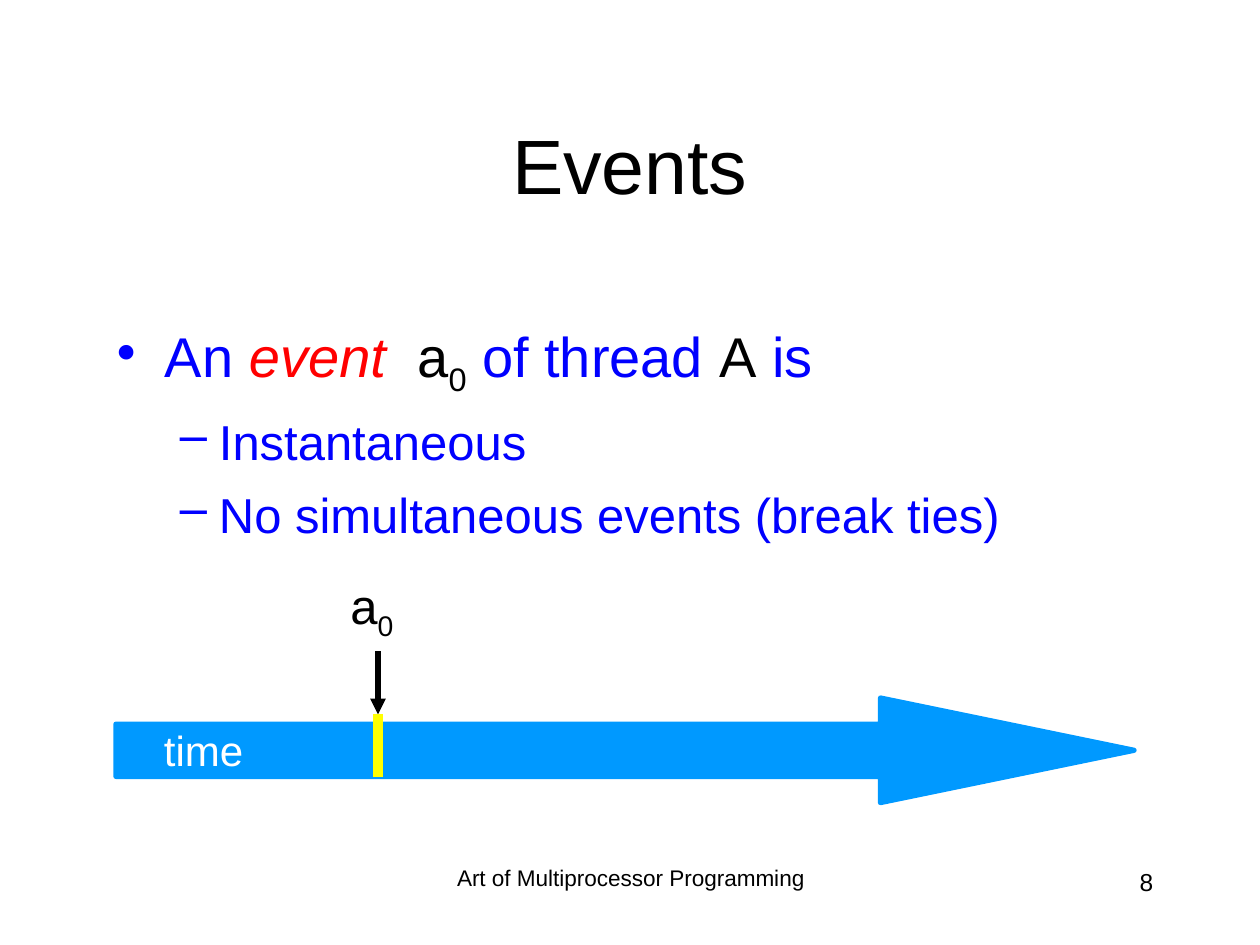
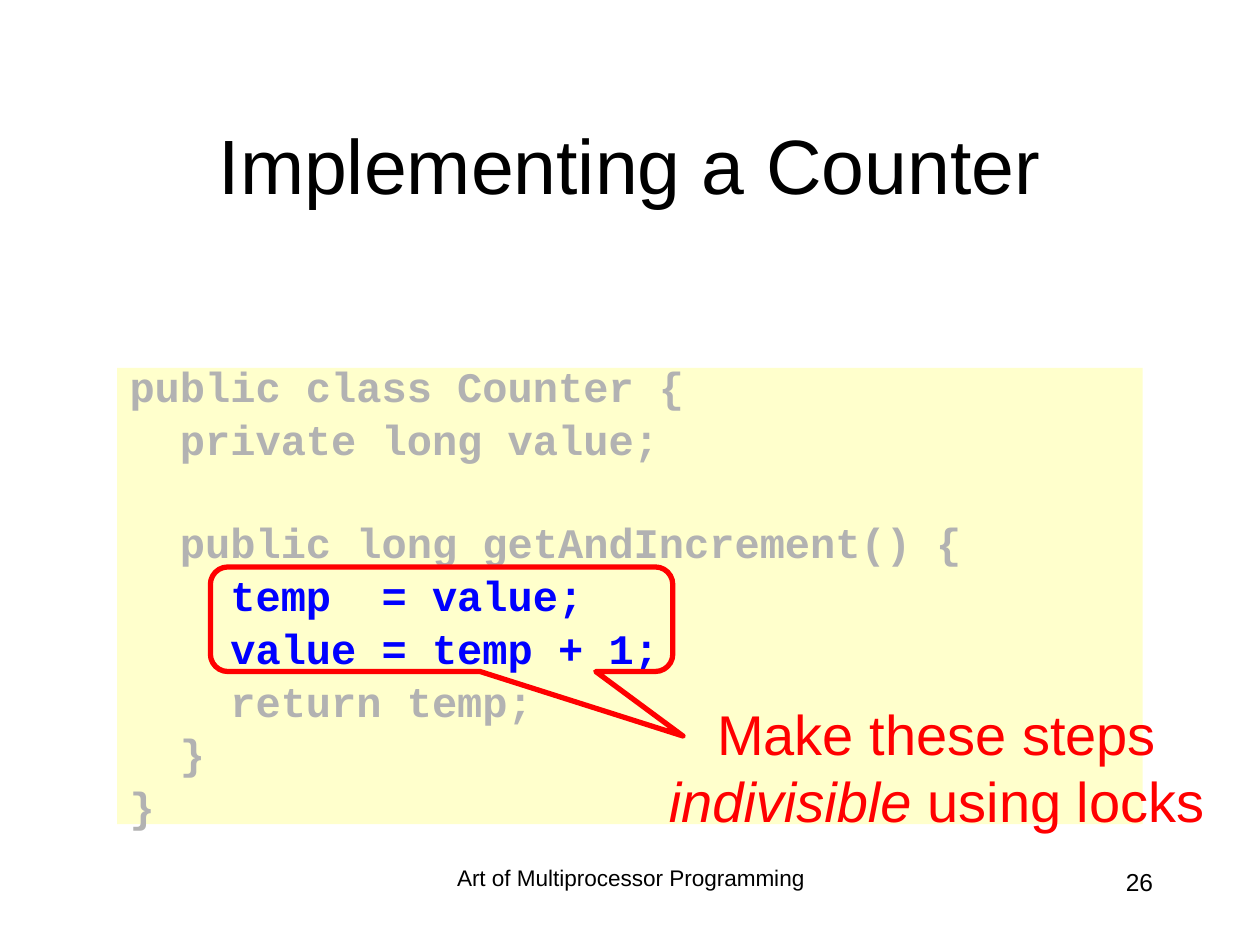
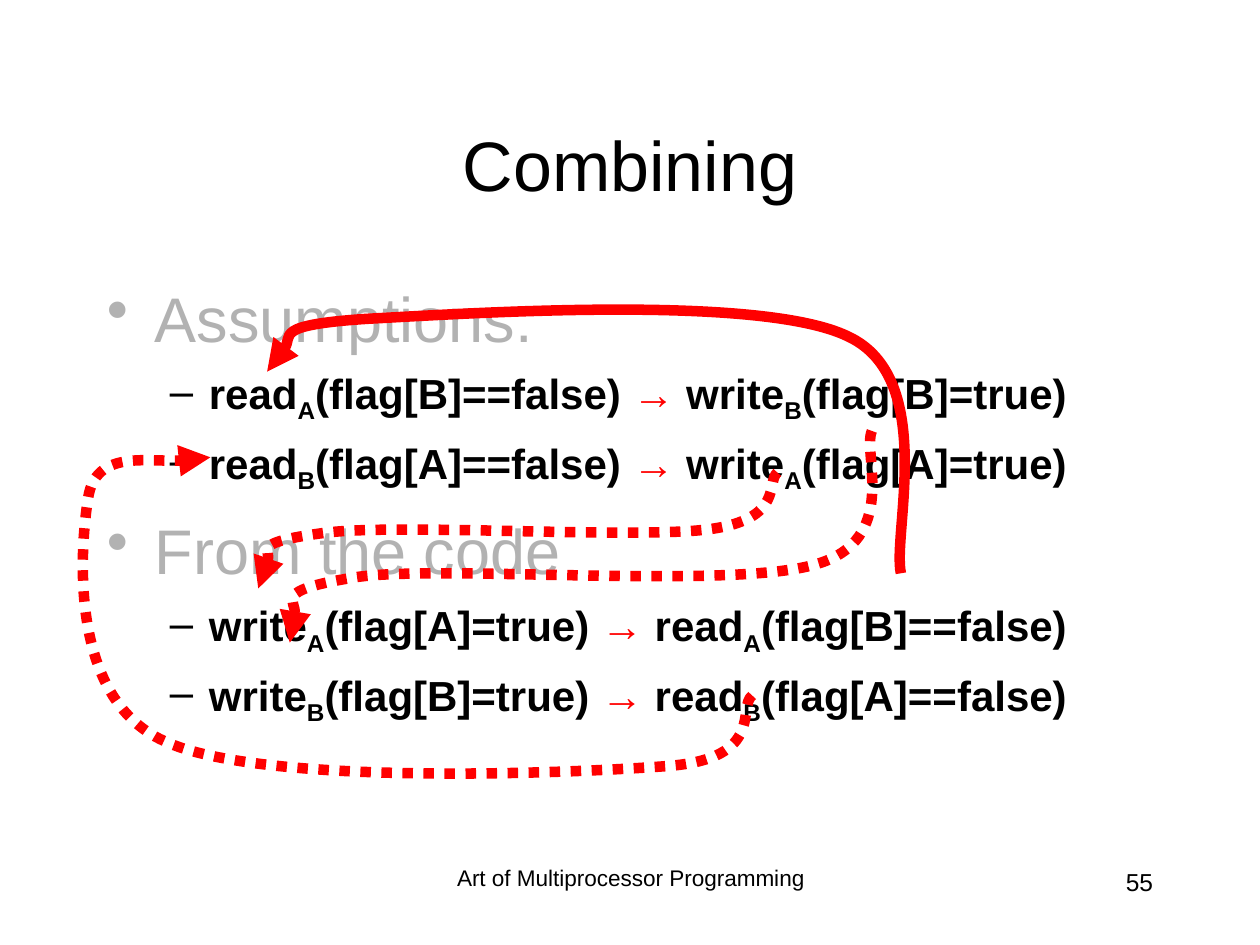
from dataclasses import dataclass
from typing import Any, Sequence

import lxml.etree
import pptx
import pptx.dml.color
import pptx.enum.dml
import pptx.enum.shapes
import pptx.enum.text
import pptx.oxml.ns
import pptx.util

EMU_PER_PX = 9144  # 100 px to the inch

SHAPE = pptx.enum.shapes.MSO_SHAPE
ALIGN = pptx.enum.text.PP_ALIGN
ANCHOR = pptx.enum.text.MSO_ANCHOR
qn = pptx.oxml.ns.qn


# Theme
@dataclass(frozen=True)
class Theme:
    font: str = "Arial"
    code_font: str = "Courier New"
    black: str = "000000"
    white: str = "FFFFFF"
    blue: str = "0000FF"
    red: str = "FF0000"
    yellow: str = "FFFF00"
    muted: str = "B2B2B2"
    timeline: str = "0099FF"
    code_fill: str = "FFFFCC"
    title_size: float = 44
    heading_size: float = 36
    body_size: float = 32
    point_size: float = 28
    code_size: float = 24
    number_size: float = 14
    footer_size: float = 12.9
    thin_line: float = 3
    thick_line: float = 6


THEME = Theme()


# Building blocks
@dataclass(frozen=True)
class Box:
    left: int
    top: int
    width: int
    height: int


@dataclass(frozen=True)
class Run:
    text: str
    color: str | None = None
    italic: bool = False
    subscript: bool = False
    tracking: int = 0


@dataclass(frozen=True)
class Bullet:
    mark: str
    level: int
    margin: int
    hanging: int


@dataclass(frozen=True)
class Paragraph:
    runs: Sequence[Run]
    size: float | None = None
    color: str | None = None
    bold: bool | None = None
    bullet: Bullet | None = None
    space_before: float = 0


@dataclass(frozen=True)
class Curve:
    points: Sequence[tuple[int, int]]  # start, then two controls and an end per arc
    dotted: bool = True


TITLE_BOX = Box(75, 67, 850, 125)
FOOTER_BOX = Box(342, 683, 317, 50)
NUMBER_BOX = Box(717, 683, 208, 50)
DOT = Bullet("•", 0, 38, 38)
DASH = Bullet("–", 1, 81, 31)


def px(length: int) -> int:
    return length * EMU_PER_PX


def rgb(color: str) -> pptx.dml.color.RGBColor:
    return pptx.dml.color.RGBColor.from_string(color)


def placed(box: Box) -> tuple[int, int, int, int]:
    return px(box.left), px(box.top), px(box.width), px(box.height)


def add_bullet(paragraph: Any, bullet: Bullet, color: str) -> None:
    paragraph.level = bullet.level
    properties = paragraph._p.get_or_add_pPr()
    properties.set("marL", str(px(bullet.margin)))
    properties.set("indent", str(-px(bullet.hanging)))
    bullet_color = lxml.etree.SubElement(properties, qn("a:buClr"))
    lxml.etree.SubElement(bullet_color, qn("a:srgbClr"), val=color)
    lxml.etree.SubElement(properties, qn("a:buChar"), char=bullet.mark)


def write_text(shape: Any, paragraphs: Sequence[Paragraph], *, size: float = THEME.code_size,
               color: str = THEME.black, font: str = THEME.font, bold: bool = False,
               align: Any = ALIGN.LEFT, anchor: Any = ANCHOR.TOP, wrap: bool = True,
               line_spacing: float | None = None) -> None:
    frame = shape.text_frame
    frame.word_wrap = wrap
    frame.vertical_anchor = anchor
    for index, content in enumerate(paragraphs):
        paragraph = frame.add_paragraph() if index else frame.paragraphs[0]
        paragraph.alignment = align
        paragraph.space_before = pptx.util.Pt(content.space_before if index else 0)
        if line_spacing:
            paragraph.line_spacing = line_spacing
        text_color = content.color or color
        if content.bullet:
            add_bullet(paragraph, content.bullet, text_color)
        for part in content.runs:
            run = paragraph.add_run()
            run.text = part.text
            run.font.name = font
            run.font.size = pptx.util.Pt(content.size or size)
            run.font.bold = bold if content.bold is None else content.bold
            run.font.italic = part.italic
            run.font.color.rgb = rgb(part.color or text_color)
            properties = run._r.get_or_add_rPr()
            if part.subscript:
                properties.set("baseline", "-25000")
            if part.tracking:
                properties.set("spc", str(part.tracking * 100))


def add_text(shapes: Any, box: Box, *paragraphs: Paragraph, **text_format: Any) -> None:
    write_text(shapes.add_textbox(*placed(box)), paragraphs, **text_format)


def plain(text: str) -> Paragraph:
    return Paragraph([Run(text)])


def style_line(shape: Any, color: str, width: float, *, dotted: bool = False,
               arrow: bool = False) -> None:
    shape.line.color.rgb = rgb(color)
    shape.line.width = pptx.util.Pt(width)
    if dotted:
        shape.line.dash_style = pptx.enum.dml.MSO_LINE.ROUND_DOT
    if arrow:
        line = shape.element.spPr.find(qn("a:ln"))
        lxml.etree.SubElement(line, qn("a:tailEnd"), type="triangle")


def add_shape(shapes: Any, kind: Any, box: Box, *, fill: str | None = None,
              line: str | None = None, adjustments: Sequence[float] = ()) -> Any:
    shape = shapes.add_shape(kind, *placed(box))
    shape.shadow.inherit = False
    for index, value in enumerate(adjustments):
        shape.adjustments[index] = value
    if fill:
        shape.fill.solid()
        shape.fill.fore_color.rgb = rgb(fill)
    else:
        shape.fill.background()
    if line:
        style_line(shape, line, THEME.thin_line)
    else:
        shape.line.fill.background()
    return shape


def add_vertical_line(shapes: Any, x: int, top: int, bottom: int, color: str, width: float,
                      arrow: bool = False) -> None:
    connector = shapes.add_connector(pptx.enum.shapes.MSO_CONNECTOR.STRAIGHT,
                                     px(x), px(top), px(x), px(bottom))
    style_line(connector, color, width, arrow=arrow)
    lxml.etree.SubElement(connector.element.spPr, qn("a:effectLst"))


def add_curve(shapes: Any, curve: Curve) -> None:
    start, *rest = curve.points
    builder = shapes.build_freeform(*start, scale=EMU_PER_PX)
    builder.add_line_segments(rest, close=False)
    shape = builder.convert_to_shape()
    shape.shadow.inherit = False
    shape.fill.background()
    style_line(shape, THEME.red, THEME.thick_line, dotted=curve.dotted, arrow=True)
    # Turn each three straight segments into one cubic arc
    segments = list(shape.element.iter(qn("a:lnTo")))
    for first in range(0, len(segments), 3):
        outline = segments[first].getparent()
        arc = lxml.etree.Element(qn("a:cubicBezTo"))
        outline.insert(outline.index(segments[first]), arc)
        for segment in segments[first:first + 3]:
            arc.append(segment[0])
            outline.remove(segment)


def add_slide(presentation: Any, title: str, number: int,
              title_size: float = THEME.title_size) -> Any:
    """Add a slide with the shared title, footer and number."""
    shapes = presentation.slides.add_slide(presentation.slide_layouts[6]).shapes
    add_text(shapes, FOOTER_BOX, plain("Art of Multiprocessor Programming"),
             size=THEME.footer_size, align=ALIGN.CENTER, line_spacing=0.9)
    add_text(shapes, NUMBER_BOX, plain(str(number)), size=THEME.number_size, align=ALIGN.RIGHT)
    add_text(shapes, TITLE_BOX, plain(title), size=title_size,
             align=ALIGN.CENTER, anchor=ANCHOR.MIDDLE)
    return shapes


# Slide: events on a timeline
def add_events_slide(presentation: Any) -> None:
    shapes = add_slide(presentation, "Events", 8)
    event_name = [Run("a", THEME.black), Run("0", THEME.black, subscript=True)]

    timeline = shapes.add_group_shape().shapes
    add_shape(timeline, SHAPE.RIGHT_ARROW, Box(92, 554, 808, 83), fill=THEME.timeline,
              line=THEME.timeline, adjustments=(0.5, 2.425))
    add_text(timeline, Box(120, 570, 83, 50), plain("time"), color=THEME.white,
             align=ALIGN.RIGHT, wrap=False)

    definition = [Run("An "), Run("event", THEME.red, italic=True),
                  Run(" ", italic=True, tracking=9), *event_name,
                  Run(" of thread "), Run("A", THEME.black), Run(" is")]
    points = ("Instantaneous", "No simultaneous events (break ties)")
    add_text(shapes, Box(83, 250, 850, 358),
             Paragraph(definition, size=THEME.body_size, bullet=DOT),
             *(Paragraph([Run(point)], bullet=DASH, space_before=8) for point in points),
             size=THEME.point_size, color=THEME.blue)

    add_vertical_line(shapes, 300, 517, 567, THEME.black, THEME.thin_line, arrow=True)
    add_vertical_line(shapes, 300, 567, 617, THEME.yellow, THEME.thick_line)
    add_text(shapes, Box(268, 452, 54, 63), Paragraph(event_name),
             size=THEME.point_size, align=ALIGN.RIGHT, wrap=False)


# Slide: counter code with a callout
def add_counter_slide(presentation: Any) -> None:
    shapes = add_slide(presentation, "Implementing a Counter", 26)
    line_gap, section_gap = 10, 39
    code = [
        Paragraph([Run("public class Counter {")]),
        Paragraph([Run("  private long value;")], space_before=line_gap),
        Paragraph([Run("  public long getAndIncrement() {")], space_before=section_gap),
        Paragraph([Run("    temp  = value;")], color=THEME.blue, space_before=line_gap),
        Paragraph([Run("    value = temp + 1;")], color=THEME.blue, space_before=line_gap),
        Paragraph([Run("    return temp;")], space_before=line_gap),
        Paragraph([Run("  }")], space_before=line_gap),
        Paragraph([Run("}")], space_before=line_gap),
    ]
    panel = add_shape(shapes, SHAPE.RECTANGLE, Box(93, 292, 814, 362), fill=THEME.code_fill)
    write_text(panel, code, color=THEME.muted, font=THEME.code_font, bold=True,
               line_spacing=0.7)
    add_shape(shapes, SHAPE.ROUNDED_RECTANGULAR_CALLOUT, Box(167, 450, 367, 83),
              line=THEME.red, adjustments=(0.522, 1.117, 0.167))
    advice = [Run("Make these steps "), Run("indivisible ", italic=True), Run("using locks")]
    add_text(shapes, Box(517, 550, 453, 117), Paragraph(advice),
             size=THEME.body_size, color=THEME.red, align=ALIGN.CENTER)


# Slide: orderings and the cycle they form
def operation(verb: str, thread: str, flag: str) -> list[Run]:
    value = "==false" if verb == "read" else "=true"
    return [Run(verb), Run(thread, subscript=True), Run(f"(flag[{flag}]{value})")]


def ordering(before: tuple[str, str, str], after: tuple[str, str, str]) -> Paragraph:
    runs = [*operation(*before), Run(" "), Run("→", THEME.red), Run(" "), *operation(*after)]
    return Paragraph(runs, bold=True, bullet=DASH, space_before=7)


def heading(text: str) -> Paragraph:
    return Paragraph([Run(text)], size=THEME.heading_size, color=THEME.muted,
                     bullet=DOT, space_before=10)


CYCLE_CURVES = (
    Curve(((597, 552), (585, 561), (608, 602), (530, 608), (452, 614), (206, 624), (130, 588),
           (53, 553), (64, 432), (70, 395), (76, 357), (147, 370), (167, 363))),
    Curve(((692, 342), (684, 359), (715, 429), (647, 448), (579, 468), (353, 448), (283, 458),
           (214, 469), (241, 499), (230, 510))),
    Curve(((617, 375), (608, 382), (623, 412), (563, 420), (503, 428), (316, 415), (257, 423),
           (197, 431), (216, 458), (205, 467))),
    Curve(((715, 455), (708, 424), (744, 300), (673, 267), (603, 233), (369, 249), (292, 253),
           (215, 258), (228, 286), (212, 295)), dotted=False),
)


def add_combining_slide(presentation: Any) -> None:
    shapes = add_slide(presentation, "Combining", 55, title_size=40)
    add_text(shapes, Box(75, 217, 850, 450),
             heading("Assumptions:"),
             ordering(("read", "A", "B"), ("write", "B", "B")),
             ordering(("read", "B", "A"), ("write", "A", "A")),
             heading("From the code"),
             ordering(("write", "A", "A"), ("read", "A", "B")),
             ordering(("write", "B", "B"), ("read", "B", "A")))
    for curve in CYCLE_CURVES:
        add_curve(shapes, curve)


def main() -> None:
    presentation = pptx.Presentation()
    presentation.slide_width = px(1000)
    presentation.slide_height = px(750)
    add_events_slide(presentation)
    add_counter_slide(presentation)
    add_combining_slide(presentation)
    presentation.save("out.pptx")


if __name__ == "__main__":
    main()
